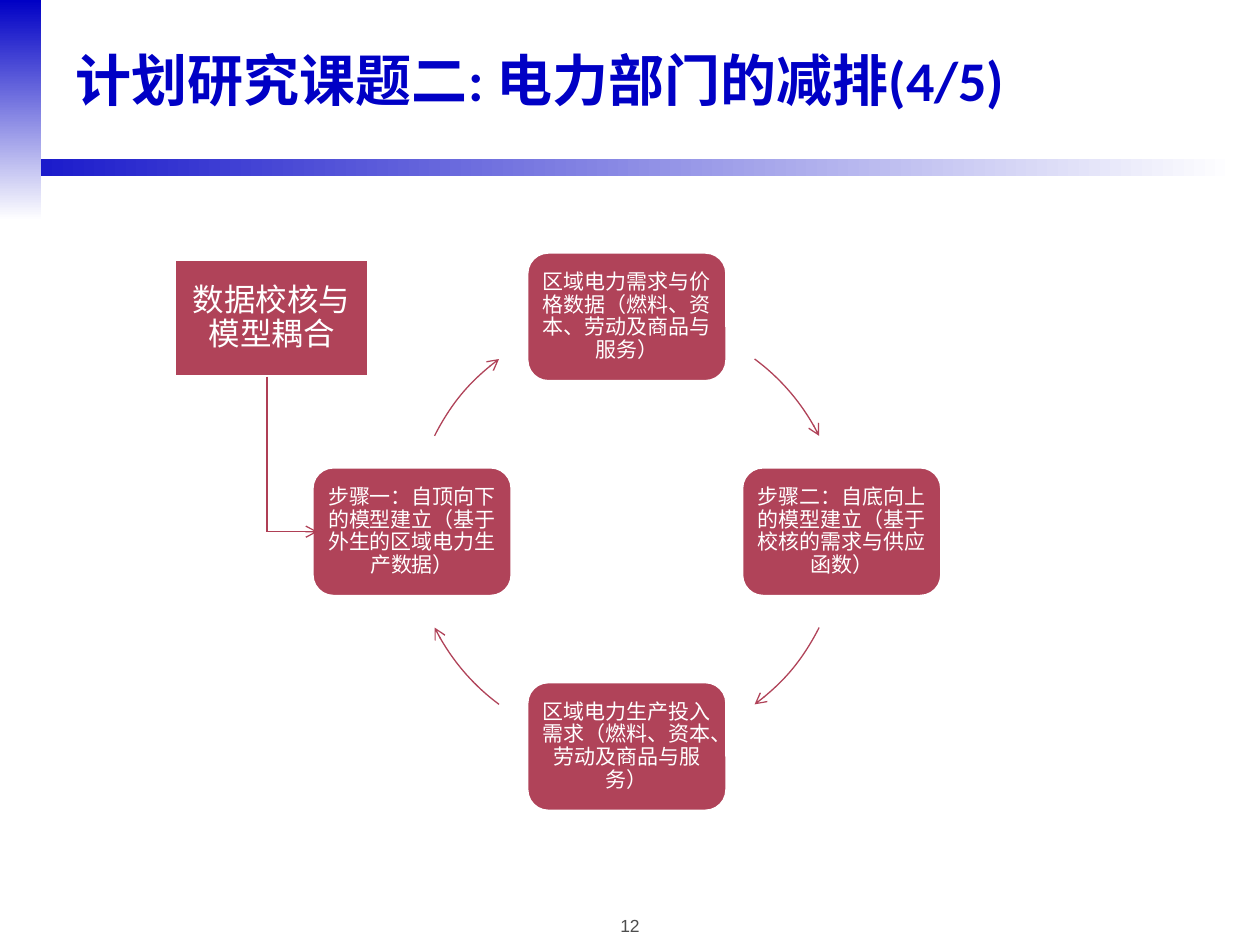
from lxml.etree import SubElement
from pptx import Presentation
from pptx.dml.color import RGBColor
from pptx.enum.shapes import MSO_CONNECTOR, MSO_SHAPE
from pptx.enum.text import MSO_ANCHOR, MSO_AUTO_SIZE, PP_ALIGN
from pptx.oxml.ns import qn
from pptx.util import Inches, Pt

BLUE = RGBColor(0x00, 0x00, 0xC5)
PALE = RGBColor(0x1A, 0x1A, 0xCB)
WHITE = RGBColor(0xFF, 0xFF, 0xFF)
GREY = RGBColor(0x4D, 0x4D, 0x4D)
RED = RGBColor(0xB0, 0x43, 0x59)
ROSE = RGBColor(0xAF, 0x3F, 0x55)

deck = Presentation()
deck.slide_width, deck.slide_height = Inches(10), Inches(7.5)
slide = deck.slides.add_slide(deck.slide_layouts[5])
shapes = slide.shapes

# Grid of 100 columns by 75 rows
COL = deck.slide_width // 100
ROW = deck.slide_height // 75


def grid(x, y, *size):
    """Turn columns and rows into slide lengths."""
    return [round(n * unit) for n, unit in zip((x, y, *size), (COL, ROW) * 2)]


def add_box(kind, area, text, size, inset):
    """Add a red box with centred white text."""
    box = shapes.add_shape(kind, *grid(*area))
    box.shadow.inherit = False
    box.fill.solid()
    box.fill.fore_color.rgb = RED
    box.line.color.rgb = WHITE
    box.line.width = Pt(2)
    frame = box.text_frame
    frame.word_wrap = True
    frame.vertical_anchor = MSO_ANCHOR.MIDDLE
    frame.margin_left = frame.margin_right = Inches(inset)
    frame.margin_top = frame.margin_bottom = Inches(inset)
    para = frame.paragraphs[0]
    para.text = text
    para.alignment = PP_ALIGN.CENTER
    para.line_spacing = 0.9
    para.font.name, para.font.size = "Arial", Pt(size)
    para.font.color.rgb = WHITE


# Fading bars: under the title, then down the left edge
for area, tint, angle in (((2.5, 12.6, 95.6, 1.4), PALE, 0),
                          ((0, 0, 3.3, 17.5), BLUE, 270)):
    bar = shapes.add_shape(MSO_SHAPE.RECTANGLE, *grid(*area))
    bar.shadow.inherit = False
    bar.line.fill.background()
    bar.fill.gradient()
    bar.fill.gradient_angle = angle
    for stop, color, spot in zip(bar.fill.gradient_stops, (tint, WHITE), (0, 1)):
        stop.color.rgb = color
        stop.position = spot

# Title
title = shapes.title
title.left, title.top, title.width, title.height = grid(5, 2.8, 90, 7.5)
frame = title.text_frame
frame.auto_size = MSO_AUTO_SIZE.NONE
frame.word_wrap = True
frame.vertical_anchor = MSO_ANCHOR.MIDDLE
para = frame.paragraphs[0]
para.text = "计划研究课题二: 电力部门的减排(4/5)"
para.alignment = PP_ALIGN.LEFT
para.line_spacing = 0.95
para.font.name, para.font.size, para.font.bold = "Calibri", Pt(32), True
para.font.color.rgb = BLUE

# Page number
page = shapes.add_textbox(*grid(46.7, 72.1, 6.6, 2.7))
para = page.text_frame.paragraphs[0]
page.text_frame.word_wrap = True
para.text = "12"
para.alignment = PP_ALIGN.CENTER
para.font.name, para.font.size = "Arial", Pt(10)
para.font.color.rgb = GREY

# Cycle: a box at each quarter turn, an arrow to the next one
MID_X, MID_Y, REACH = 49.75, 42.2, 17.05
WIDE, HIGH = 15.9, 10.3
SWEEP = 27
steps = (
    (0, -1, 306.5, "区域电力需求与价格数据（燃料、资本、劳动及商品与服务）"),
    (1, 0, 26.5, "步骤二：自底向上的模型建立（基于校核的需求与供应函数）"),
    (0, 1, 126.5, "区域电力生产投入需求（燃料、资本、劳动及商品与服务）"),
    (-1, 0, 206.5, "步骤一：自顶向下的模型建立（基于外生的区域电力生产数据）"),
)
heads = []
for dx, dy, start, text in steps:
    left = MID_X + dx * REACH - WIDE / 2
    top = MID_Y + dy * REACH - HIGH / 2
    add_box(MSO_SHAPE.ROUNDED_RECTANGLE, (left, top, WIDE, HIGH), text, 12, 0.05)
    arc = shapes.add_shape(MSO_SHAPE.ARC, *grid(
        MID_X - REACH, MID_Y - REACH, 2 * REACH, 2 * REACH))
    arc.shadow.inherit = False
    arc.fill.background()
    arc.line.color.rgb = RED
    arc.line.width = Pt(0.75)
    # One degree is 0.6 in adjustment units
    arc.adjustments[0] = start * 0.6
    arc.adjustments[1] = (start + SWEEP) * 0.6
    heads.append(arc)

# Data check box and its bent arrow into step one
add_box(MSO_SHAPE.RECTANGLE, (13.8, 20.6, 15.5, 9.3), "数据校核与模型耦合", 18, 0.07)
bend = (21.2, MID_Y)
for start, end in (((21.2, 29.9), bend), (bend, (25.2, MID_Y))):
    link = shapes.add_connector(MSO_CONNECTOR.STRAIGHT, *grid(*start), *grid(*end))
    link.line.color.rgb = ROSE
    link.line.width = Pt(0.75)
    SubElement(link._element.spPr, qn("a:effectLst"))
heads.append(link)

# Arrowheads
for item in heads:
    SubElement(item.line._get_or_add_ln(), qn("a:tailEnd"), type="arrow")

deck.save("out.pptx")
